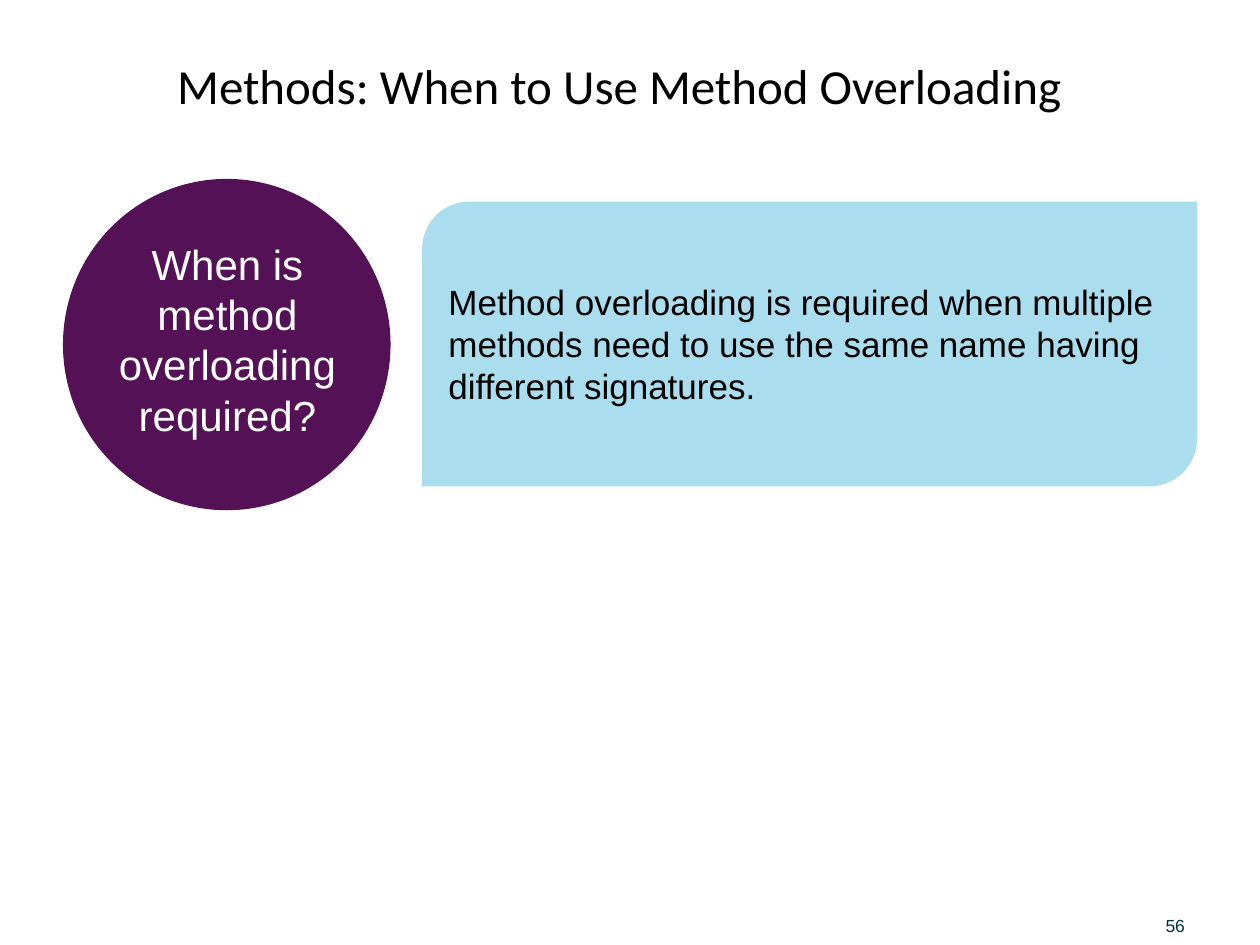
from dataclasses import dataclass

from pptx import Presentation
from pptx.dml.color import RGBColor
from pptx.enum.shapes import MSO_SHAPE
from pptx.enum.text import MSO_ANCHOR, PP_ALIGN
from pptx.util import Inches, Pt


@dataclass(frozen=True)
class Theme:
    heading_font: str = "Calibri"
    body_font: str = "Arial"
    black: str = "000000"
    white: str = "FFFFFF"
    purple: str = "551155"
    light_blue: str = "AADDEE"
    dark_teal: str = "003344"
    title_size: int = 28
    question_size: int = 24
    answer_size: int = 20
    number_size: int = 10


class SlideBuilder:
    def __init__(self, s, theme):
        self.s = s
        self.theme = theme

    def shape(self, kind, box, fill):
        sp = self.s.shapes.add_shape(kind, *map(Inches, box))
        sp.shadow.inherit = False
        sp.fill.solid()
        sp.fill.fore_color.rgb = RGBColor.from_string(fill)
        sp.line.fill.background()
        return sp

    def textbox(self, box, margin=None):
        sp = self.s.shapes.add_textbox(*map(Inches, box))
        if margin is not None:
            tf = sp.text_frame
            tf.margin_left = tf.margin_right = Inches(margin)
            tf.margin_top = tf.margin_bottom = Inches(margin)
        return sp

    def add_text(self, sp, text, size, color, font=None,
                 align=PP_ALIGN.LEFT, anchor=MSO_ANCHOR.MIDDLE):
        tf = sp.text_frame
        tf.word_wrap = True
        tf.vertical_anchor = anchor
        p = tf.paragraphs[0]
        p.alignment = align
        r = p.add_run()
        r.text = text
        r.font.name = font or self.theme.body_font
        r.font.size = Pt(size)
        r.font.color.rgb = RGBColor.from_string(color)


def main():
    prs = Presentation()
    prs.slide_width, prs.slide_height = Inches(10), Inches(7.5)
    theme = Theme()
    b = SlideBuilder(prs.slides.add_slide(prs.slide_layouts[6]), theme)

    # Title
    title = b.textbox((0.5, 0.2, 8.83, 0.95))
    b.add_text(title, "Methods: When to Use Method Overloading",
               theme.title_size, theme.black, font=theme.heading_font,
               align=PP_ALIGN.CENTER)

    # Question circle and answer panel
    b.shape(MSO_SHAPE.OVAL, (0.5, 1.42, 2.6, 2.63), theme.purple)
    answer = b.shape(MSO_SHAPE.ROUND_2_DIAG_RECTANGLE,
                     (3.35, 1.6, 6.15, 2.26), theme.light_blue)
    b.add_text(answer, "Method overloading is required when multiple methods "
               "need to use the same name having different signatures.",
               theme.answer_size, theme.black)
    question = b.textbox((0.71, 1.84, 2.19, 1.72))
    b.add_text(question, "When is method overloading required?",
               theme.question_size, theme.white,
               align=PP_ALIGN.CENTER, anchor=MSO_ANCHOR.TOP)

    # Slide number
    number = b.textbox((9.25, 7.15, 0.69, 0.28), margin=0)
    b.add_text(number, "56", theme.number_size, theme.dark_teal,
               anchor=MSO_ANCHOR.BOTTOM)

    prs.save("out.pptx")


if __name__ == "__main__":
    main()
